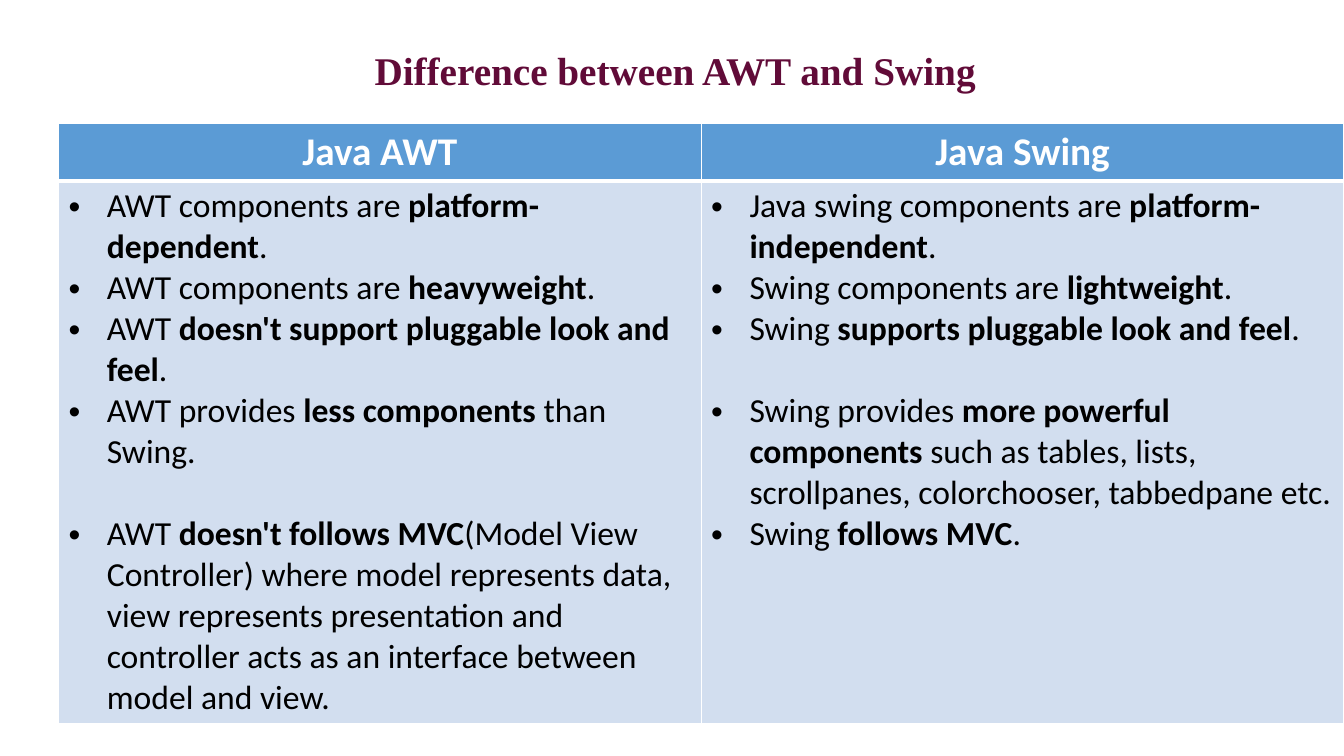
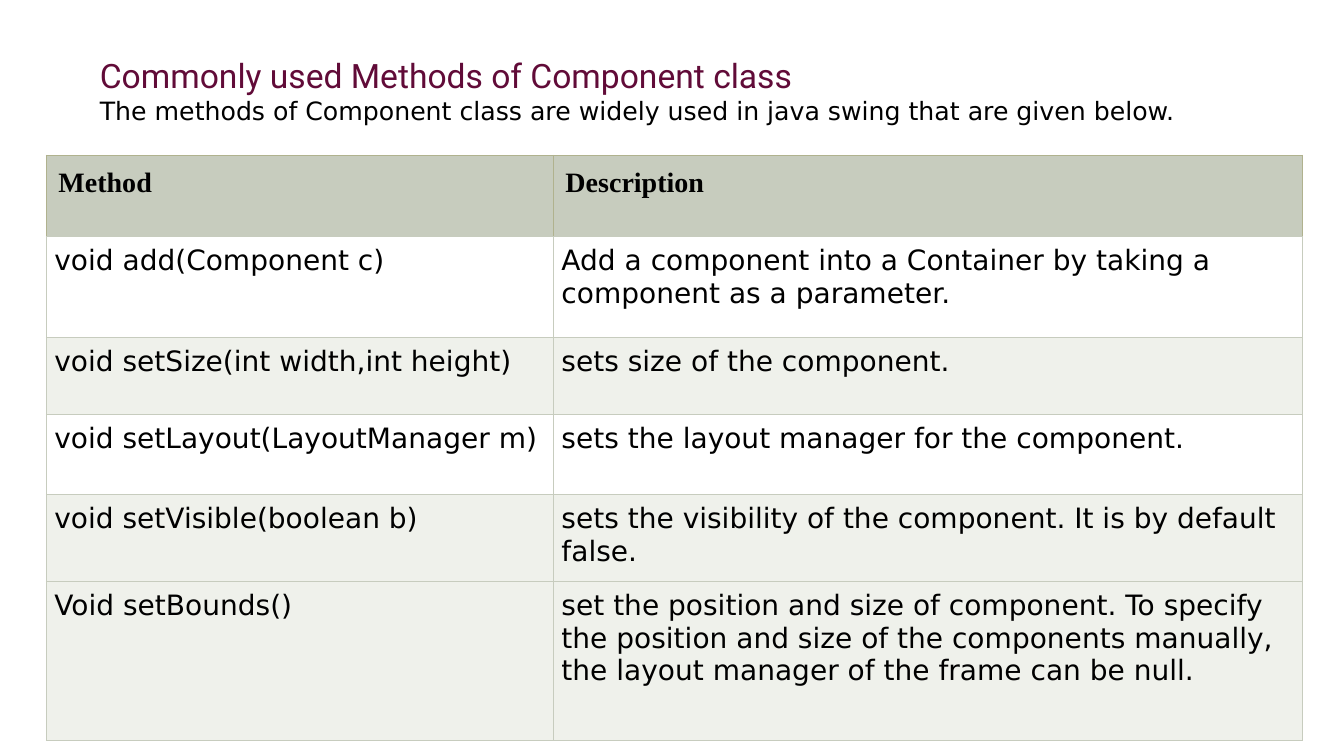
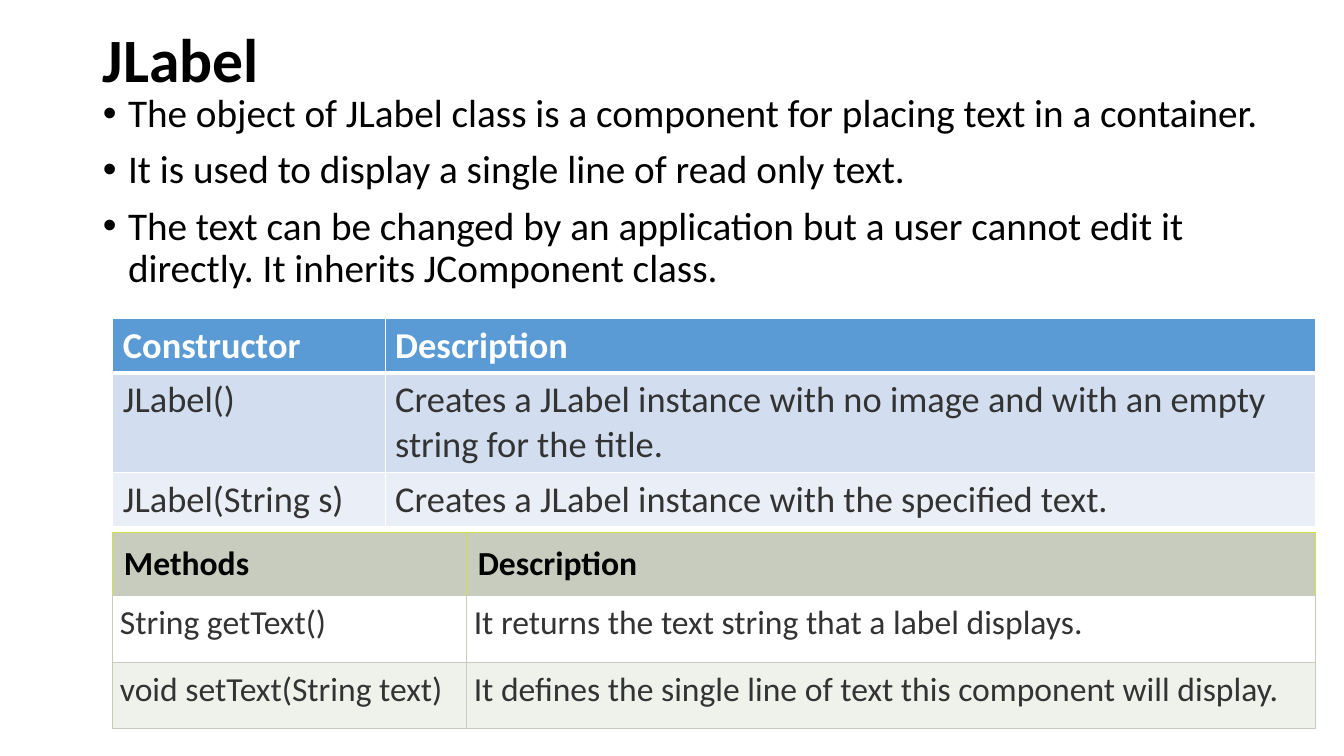
from dataclasses import dataclass

from lxml import etree
from pptx import Presentation
from pptx.dml.color import RGBColor
from pptx.enum.text import MSO_ANCHOR, MSO_AUTO_SIZE, PP_ALIGN
from pptx.oxml.ns import qn
from pptx.util import Inches, Pt

LEFT, CENTER, JUSTIFY = PP_ALIGN.LEFT, PP_ALIGN.CENTER, PP_ALIGN.JUSTIFY
MIDDLE, TOP = MSO_ANCHOR.MIDDLE, MSO_ANCHOR.TOP
NO_FIT = MSO_AUTO_SIZE.NONE
TITLE_ONLY, TITLE_AND_BODY = 5, 1


@dataclass(frozen=True)
class Theme:
    """Colours, fonts and type sizes of the deck."""
    white: str = "FFFFFF"
    black: str = "000000"
    gray: str = "333333"
    plum: str = "610B38"
    blue: str = "5B9BD5"
    blue_band: str = "D2DEEF"
    blue_light: str = "EAEFF7"
    sage: str = "C7CCBE"
    sage_light: str = "EFF1EB"
    olive: str = "B0B28E"
    lime: str = "D0E142"
    sans: str = "Calibri"
    serif: str = "Times New Roman"
    heading: str = "Roboto"
    wide: str = "DejaVu Sans"
    huge: int = 44
    large: int = 28
    label: int = 26
    text: int = 24
    cell: int = 20
    small: int = 18


THEME = Theme()


@dataclass(frozen=True)
class TableLook:
    """Fills and borders of a table; borders are (colour, points)."""
    head_fill: str
    bands: tuple
    head_side: tuple
    head_base: tuple
    line: tuple


BLUE_LOOK = TableLook(THEME.blue, (THEME.blue_band, THEME.blue_light),
                      (THEME.white, 1), (THEME.white, 3), (THEME.white, 1))


def sage_look(head_line, bands):
    """Return the sage table look with its own header line and bands."""
    line = (THEME.sage, 0.75)
    return TableLook(THEME.sage, bands, (head_line, 0.75), line, line)


def write(frame, text, font=THEME.sans, size=THEME.text, color=THEME.black,
          bold=False, align=LEFT, line=None, before=0, hang=None):
    """Add a paragraph; **marks** make spans bold, hang sets a bullet indent."""
    para = frame.paragraphs[0]
    if para.runs:
        para = frame.add_paragraph()
    para.alignment = align
    para.space_before = Pt(before)
    if line:
        para.line_spacing = line
    if hang:
        properties = para._p.get_or_add_pPr()
        properties.set("marL", str(Inches(hang)))
        properties.set("indent", str(-Inches(hang)))
        etree.SubElement(properties, qn("a:buFont"), typeface="Arial")
        etree.SubElement(properties, qn("a:buChar"), char="•")
    for index, words in enumerate(text.split("**")):
        if words:
            span = para.add_run()
            span.text = words
            span.font.name = font
            span.font.size = Pt(size)
            span.font.bold = bold or index % 2 == 1
            span.font.color.rgb = RGBColor.from_string(color)


def write_points(frame, points, gap_at, gap):
    """Write bullets, with a gap in points before the one at gap_at."""
    for index, point in enumerate(points):
        write(frame, point, hang=0.38, before=gap if index == gap_at else 0)


def draw_border(cell, side, border):
    """Draw one side (L, R, T or B) of a cell."""
    color, points = border
    edge = etree.SubElement(cell._tc.get_or_add_tcPr(), qn(f"a:ln{side}"),
                            w=str(Pt(points)))
    fill = etree.SubElement(edge, qn("a:solidFill"))
    etree.SubElement(fill, qn("a:srgbClr"), val=color)


class Deck:
    """Builds slides on a grid of 100 columns and 100 rows."""

    def __init__(self, width, height):
        """Start a deck of the given size in inches."""
        self.show = Presentation()
        self.show.slide_width = Inches(width)
        self.show.slide_height = Inches(height)
        self.slide = None

    def columns(self, count):
        """Length of a number of grid columns."""
        return round(self.show.slide_width * count / 100)

    def rows(self, count):
        """Length of a number of grid rows."""
        return round(self.show.slide_height * count / 100)

    def add_slide(self, layout=TITLE_ONLY):
        """Add a slide and make it current."""
        self.slide = self.show.slides.add_slide(self.show.slide_layouts[layout])

    def place(self, box, left, top, width, height, anchor):
        """Move a placeholder and return its text frame."""
        box.left, box.top = self.columns(left), self.rows(top)
        box.width, box.height = self.columns(width), self.rows(height)
        frame = box.text_frame
        frame.word_wrap, frame.auto_size = True, NO_FIT
        frame.vertical_anchor = anchor
        return frame

    def title(self, text, area, filled=True, **style):
        """Write the slide title and return its text frame."""
        box = self.slide.shapes.title
        if filled:
            box.fill.solid()
            box.fill.fore_color.rgb = RGBColor.from_string(THEME.white)
        frame = self.place(box, *area, MIDDLE)
        write(frame, text, **style)
        return frame

    def body(self, points, area, **style):
        """Write the body list."""
        frame = self.place(self.slide.placeholders[1], *area, TOP)
        for point in points:
            write(frame, point, **style)

    def table(self, content, left, top, widths, heights, look, head, cells,
              head_inset=None, inset=None):
        """Add a table; head and cells hold the text formats."""
        table = self.slide.shapes.add_table(
            len(heights), len(widths), self.columns(left), self.rows(top),
            self.columns(sum(widths)), self.rows(sum(heights))).table
        table.horz_banding = False
        for column, width in zip(table.columns, widths):
            column.width = self.columns(width)
        for index, (row, height) in enumerate(zip(table.rows, heights)):
            row.height = self.rows(height)
            is_head = index == 0
            side = look.head_side if is_head else look.line
            above = look.head_base if index == 1 else side
            below = look.head_base if is_head else look.line
            fill = look.head_fill if is_head else look.bands[(index - 1) % len(look.bands)]
            margin = head_inset if is_head else inset
            for cell, text in zip(row.cells, content[index]):
                if margin:
                    cell.margin_left = cell.margin_right = Inches(margin)
                    cell.margin_top = cell.margin_bottom = Inches(margin)
                for name, border in zip("LRTB", (side, side, above, below)):
                    draw_border(cell, name, border)
                cell.fill.solid()
                cell.fill.fore_color.rgb = RGBColor.from_string(fill)
                write(cell.text_frame, text, **(head if is_head else cells))
        return table


def difference_slide(deck):
    """Compare AWT and Swing side by side."""
    deck.add_slide()
    deck.title("Difference between AWT and Swing", (1.28, 5.47, 97.9, 7.6),
               font=THEME.serif, size=THEME.large, color=THEME.plum, bold=True,
               align=CENTER)
    table = deck.table(
        [("Java AWT", "Java Swing"), ("", "")], 4.35, 16.27,
        (47.82, 47.82), (7.6, 70.67), BLUE_LOOK,
        head=dict(size=THEME.large, color=THEME.white, bold=True, align=CENTER),
        cells={})
    awt = [
        "AWT components are **platform-dependent**.",
        "AWT components are **heavyweight**.",
        "AWT **doesn't support pluggable look and feel**.",
        "AWT provides **less components** than Swing.",
        "AWT **doesn't follows MVC**(Model View Controller) where model "
        "represents data, view represents presentation and controller acts "
        "as an interface between model and view.",
    ]
    swing = [
        "Java swing components are **platform-independent**.",
        "Swing components are **lightweight**.",
        "Swing **supports pluggable look and feel**.",
        "Swing provides **more powerful components** such as tables, lists, "
        "scrollpanes, colorchooser, tabbedpane etc.",
        "Swing **follows MVC**.",
    ]
    line_height = THEME.text * 1.22
    write_points(table.cell(1, 0).text_frame, awt, 4, line_height)
    write_points(table.cell(1, 1).text_frame, swing, 3, line_height)


def methods_slide(deck):
    """List the methods of the Component class."""
    deck.add_slide()
    frame = deck.title("Commonly used Methods of Component class",
                       (6.68, 6.53, 88.22, 10.8), font=THEME.heading,
                       color=THEME.plum)
    write(frame, "The methods of Component class are widely used in java swing "
          "that are given below.", font=THEME.wide, size=THEME.small)
    methods = [
        ("Method", "Description"),
        ("void add(Component c)", "Add a component into a Container by taking "
         "a component as a parameter."),
        ("void setSize(int width,int height)", "sets size of the component."),
        ("void setLayout(LayoutManager m)",
         "sets the layout manager for the component."),
        ("void setVisible(boolean b)",
         "sets the visibility of the component. It is by default false."),
        ("Void setBounds()", "set the position and size of component. To "
         "specify the position and size of the components manually, the "
         "layout manager of the frame can be null."),
    ]
    plain, tint = THEME.white, THEME.sage_light
    deck.table(methods, 3.45, 20.53, (37.73, 55.74),
               (10.8, 13.33, 10.13, 10.67, 11.47, 21.07),
               sage_look(THEME.olive, (plain, tint, plain, tint, tint)),
               head=dict(font=THEME.serif, size=THEME.cell, bold=True),
               cells=dict(font=THEME.wide, size=THEME.cell),
               head_inset=0.12, inset=0.08)


def label_slide(deck):
    """Describe JLabel with its constructors and methods."""
    deck.add_slide(TITLE_AND_BODY)
    deck.title("JLabel", (6.9, 1.73, 86.27, 13.2), filled=False,
               size=THEME.huge, bold=True, line=0.9)
    deck.body([
        "The object of JLabel class is a component for placing text in a container.",
        "It is used to display a single line of read only text.",
        "The text can be changed by an application but a user cannot edit it "
        "directly. It inherits JComponent class.",
    ], (6.9, 11.73, 90.85, 88.27), size=THEME.large, line=0.9, before=10, hang=0.25)
    constructors = [
        ("Constructor", "Description"),
        ("JLabel()", "Creates a JLabel instance with no image and with an "
         "empty string for the title."),
        ("JLabel(String s)", "Creates a JLabel instance with the specified text."),
    ]
    deck.table(constructors, 8.4, 42.13, (20.26, 69.24), (7.07, 12.93, 7.07),
               BLUE_LOOK,
               head=dict(size=THEME.label, color=THEME.white, bold=True),
               cells=dict(size=THEME.label, color=THEME.gray))
    methods = [
        ("Methods", "Description"),
        ("String getText()", "It returns the text string that a label displays."),
        ("void setText(String text)",
         "It defines the single line of text this component will display."),
    ]
    deck.table(methods, 8.4, 70.4, (26.33, 63.17), (8.4, 8.8, 8.8),
               sage_look(THEME.lime, (THEME.white, THEME.sage_light)),
               head=dict(bold=True),
               cells=dict(color=THEME.gray, align=JUSTIFY),
               head_inset=0.11, inset=0.07)


deck = Deck(13.33, 7.5)
for build in (difference_slide, methods_slide, label_slide):
    build(deck)
deck.show.save("out.pptx")
